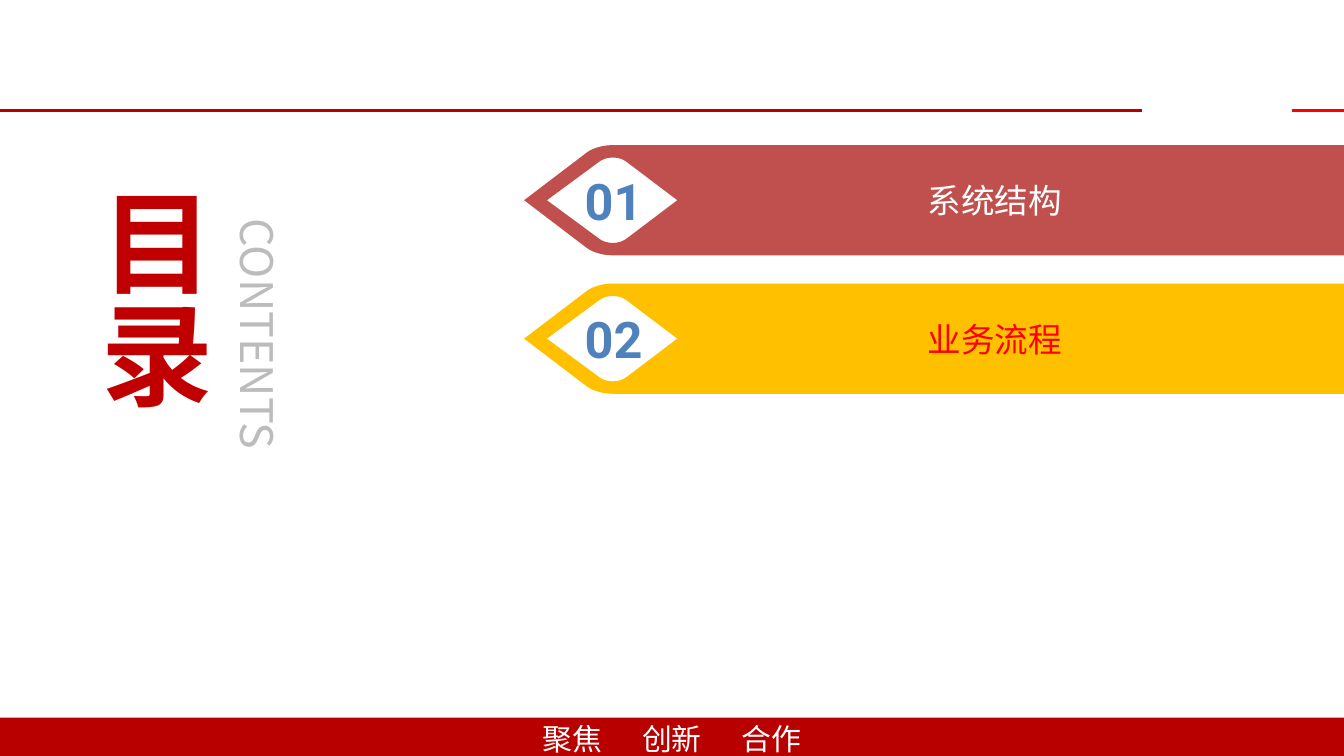
from lxml.etree import SubElement
from pptx import Presentation
from pptx.dml.color import RGBColor
from pptx.enum.shapes import MSO_CONNECTOR as Connector, MSO_SHAPE as Preset
from pptx.enum.text import MSO_ANCHOR as Anchor, PP_ALIGN as Align
from pptx.oxml.ns import qn
from pptx.util import Inches, Pt

CJK = "Noto Sans CJK SC"
PAGE_WIDTH = 10
PAGE_HEIGHT = PAGE_WIDTH * 9 / 16
BANNER_HEIGHT = 0.82


def color(hex_code):
    """Turn a hex string into a colour."""
    return RGBColor.from_string(hex_code)


def write(shape, text, size=18, font=CJK, ink="FFFFFF", bold=False,
          align=Align.LEFT, anchor=Anchor.TOP, left_inset=0.1,
          vertical=False, tabs=()):
    """Fill a shape with one formatted paragraph."""
    frame = shape.text_frame
    frame.word_wrap = True
    frame.vertical_anchor = anchor
    frame.margin_left = Inches(left_inset)
    if vertical:
        frame._txBody.bodyPr.set("vert", "eaVert")
    para = frame.paragraphs[0]
    para.alignment = align
    if tabs:
        stops = SubElement(para._p.get_or_add_pPr(), qn("a:tabLst"))
        for position in tabs:
            SubElement(stops, qn("a:tab"), pos=str(Inches(position)), algn="l")
    span = para.add_run()
    span.text = text
    span.font.size = Pt(size)
    span.font.name = font
    span.font.bold = bold
    span.font.color.rgb = color(ink)
    SubElement(span._r.get_or_add_rPr(), qn("a:ea"), typeface=font)


def add_text(page, left, top, width, height, text, **style):
    """Add a text box with formatted text."""
    box = page.shapes.add_textbox(*map(Inches, (left, top, width, height)))
    write(box, text, **style)


def paint(shape, fill):
    """Give a shape a plain fill without outline or shadow."""
    shape.shadow.inherit = False
    shape.fill.solid()
    shape.fill.fore_color.rgb = color(fill)
    shape.line.fill.background()


def add_rule(page, left, right, top, ink, weight):
    """Draw one horizontal header line."""
    rule = page.shapes.add_connector(
        Connector.STRAIGHT, *map(Inches, (left, top, right, top)))
    rule.line.color.rgb = color(ink)
    rule.line.width = Pt(weight)
    SubElement(rule._element.spPr, qn("a:effectLst"))


def curve(start, first, second, end, steps=12):
    """Sample a cubic curve as a list of points."""
    points = []
    for step in range(steps + 1):
        t = step / steps
        weights = ((1 - t) ** 3, 3 * t * (1 - t) ** 2, 3 * t * t * (1 - t), t ** 3)
        points.append(tuple(
            sum(w * p[axis] for w, p in zip(weights, (start, first, second, end)))
            for axis in (0, 1)))
    return points


def flip(points, height):
    """Mirror points top to bottom and reverse their order."""
    return [(x, height - y) for x, y in reversed(points)]


def add_banner(page, left, top, width, height, number, title, fill, ink):
    """Add a pointed banner with a diamond window and a title."""
    middle = height / 2
    shoulder = curve((0.66, 0), (0.59, 0), (0.51, 0.02), (0.46, 0.06))
    outline = [(width, 0), *shoulder, (0, middle),
               *flip(shoulder, height), (width, height)]
    cap = curve((0.55, 0.13), (0.61, 0.08), (0.71, 0.08), (0.77, 0.13))
    window = [(0.17, middle), *cap, (1.14, middle), *flip(cap, height)]

    def place(points):
        """Move points from the banner to the page."""
        return [(Inches(left + x), Inches(top + y)) for x, y in points]

    outline, window = place(outline), place(window)
    builder = page.shapes.build_freeform(*outline[0])
    builder.add_line_segments(outline[1:], close=True)
    builder.move_to(*window[0])
    builder.add_line_segments(window[1:], close=True)
    banner = builder.convert_to_shape()
    paint(banner, fill)
    write(banner, title, ink=ink, align=Align.CENTER, anchor=Anchor.MIDDLE,
          left_inset=1)
    add_text(page, left + 0.27, top, 0.79, height, number, size=27,
             font="Roboto", ink="4F81BD", bold=True, align=Align.CENTER,
             anchor=Anchor.MIDDLE)


def add_header(page, top):
    """Draw the two header lines."""
    add_rule(page, 9.61, PAGE_WIDTH, top, "FF0000", 1.75)
    add_rule(page, 0, 8.5, top, "B80000", 1.5)


def add_footer(page, left, top, width, height):
    """Draw the footer band with its motto."""
    band = page.shapes.add_shape(
        Preset.RECTANGLE, *map(Inches, (left, top, width, height)))
    paint(band, "B80000")
    add_text(page, left + 3.94, top - 0.03, 2.23, 0.37, "聚焦\t创新\t合作",
             size=16, tabs=(0.74, 1.48))


def add_heading(page, left, top):
    """Add the vertical heading and its subtitle."""
    add_text(page, left, top, 0.79, 2.3, "目录", size=60, ink="C00000",
             bold=True, anchor=Anchor.MIDDLE, vertical=True)
    add_text(page, left + 0.78, top + 0.24, 0.79, 4.45, "CONTENTS", size=24,
             ink="BCBCBC", anchor=Anchor.MIDDLE, vertical=True)


def main():
    """Build the contents slide."""
    deck = Presentation()
    deck.slide_width, deck.slide_height = Inches(PAGE_WIDTH), Inches(PAGE_HEIGHT)
    page = deck.slides.add_slide(deck.slide_layouts[6])
    add_header(page, 0.82)
    add_footer(page, 0, 5.34, PAGE_WIDTH, 0.3)
    chapters = (("01", "系统结构", "C0504D", "FFFFFF"),
                ("02", "业务流程", "FFC000", "FF0000"))
    for index, chapter in enumerate(chapters):
        add_banner(page, 3.9, 1.08 + 1.03 * index, 6.1, BANNER_HEIGHT, *chapter)
    add_heading(page, 0.75, 1.29)
    deck.save("out.pptx")


if __name__ == "__main__":
    main()
